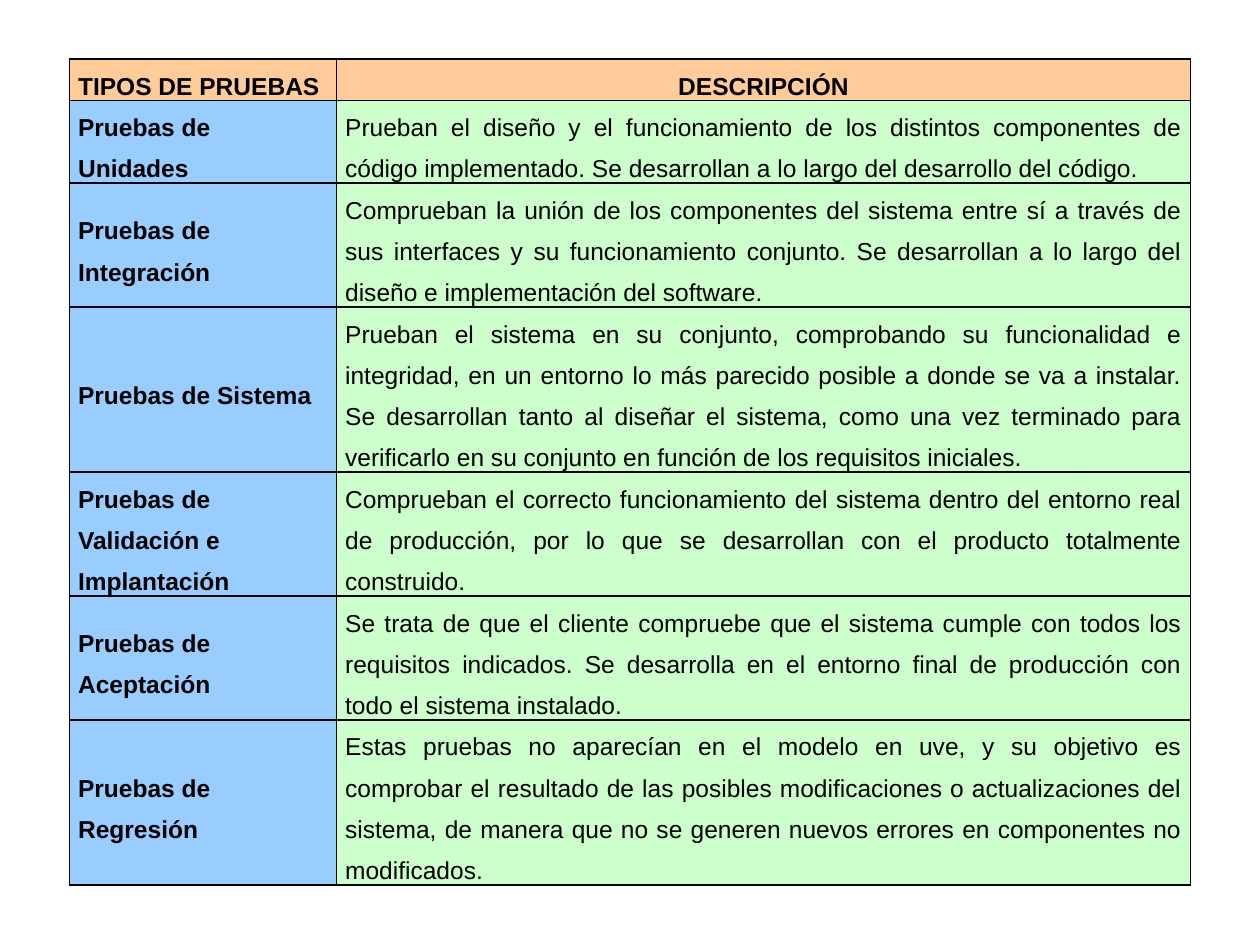
from dataclasses import dataclass

from lxml import etree
from pptx import Presentation
from pptx.dml.color import RGBColor
from pptx.enum import text as txt
from pptx.oxml import ns
from pptx.util import Inches, Pt


@dataclass(frozen=True)
class Theme:
    font: str = "Arial"
    size: int = 14
    ink: str = "000000"
    header: str = "FFCC99"
    name: str = "99CCFF"
    description: str = "CCFFCC"
    border: int = 1
    line_spacing: float = 1.5


@dataclass(frozen=True)
class TestType:
    name: str
    description: str
    lines: int


@dataclass(frozen=True)
class CellStyle:
    fill: str
    bold: bool
    align: txt.PP_ALIGN
    anchor: txt.MSO_ANCHOR = txt.MSO_ANCHOR.TOP


THEME = Theme()
ALIGN = txt.PP_ALIGN
HEADER_STYLES = (
    CellStyle(THEME.header, True, ALIGN.JUSTIFY),
    CellStyle(THEME.header, True, ALIGN.CENTER),
)
BODY_STYLES = (
    CellStyle(THEME.name, True, ALIGN.LEFT, txt.MSO_ANCHOR.MIDDLE),
    CellStyle(THEME.description, False, ALIGN.JUSTIFY),
)
COLUMN_WIDTHS = (2.12, 6.78)
LINE_HEIGHT = 0.32

HEADER = TestType("TIPOS DE PRUEBAS", "DESCRIPCIÓN", 1)
TEST_TYPES = (
    TestType(
        "Pruebas de Unidades",
        "Prueban el diseño y el funcionamiento de los distintos componentes de "
        "código implementado. Se desarrollan a lo largo del desarrollo del código.",
        2),
    TestType(
        "Pruebas de Integración",
        "Comprueban la unión de los componentes del sistema entre sí a través de "
        "sus interfaces y su funcionamiento conjunto. Se desarrollan a lo largo del "
        "diseño e implementación del software.",
        3),
    TestType(
        "Pruebas de Sistema",
        "Prueban el sistema en su conjunto, comprobando su funcionalidad e "
        "integridad, en un entorno lo más parecido posible a donde se va a instalar. "
        "Se desarrollan tanto al diseñar el sistema, como una vez terminado para "
        "verificarlo en su conjunto en función de los requisitos iniciales.",
        4),
    TestType(
        "Pruebas de Validación e Implantación",
        "Comprueban el correcto funcionamiento del sistema dentro del entorno real "
        "de producción, por lo que se desarrollan con el producto totalmente "
        "construido.",
        3),
    TestType(
        "Pruebas de Aceptación",
        "Se trata de que el cliente compruebe que el sistema cumple con todos los "
        "requisitos indicados. Se desarrolla en el entorno final de producción con "
        "todo el sistema instalado.",
        3),
    TestType(
        "Pruebas de Regresión",
        "Estas pruebas no aparecían en el modelo en uve, y su objetivo es "
        "comprobar el resultado de las posibles modificaciones o actualizaciones del "
        "sistema, de manera que no se generen nuevos errores en componentes no "
        "modificados.",
        4),
)


def add_borders(cell) -> None:
    properties = cell._tc.get_or_add_tcPr()
    for side in ("a:lnL", "a:lnR", "a:lnT", "a:lnB"):
        line = etree.SubElement(properties, ns.qn(side), w=str(Pt(THEME.border)))
        solid = etree.SubElement(line, ns.qn("a:solidFill"))
        etree.SubElement(solid, ns.qn("a:srgbClr"), val=THEME.ink)


def fill_cell(cell, content: str, style: CellStyle) -> None:
    cell_format = {
        "margin_left": Inches(0.07), "margin_right": Inches(0.07),
        "margin_top": 0, "margin_bottom": 0,
        "vertical_anchor": style.anchor,
    }
    for attribute, value in cell_format.items():
        setattr(cell, attribute, value)
    add_borders(cell)  # the schema wants borders before the fill
    cell.fill.solid()
    cell.fill.fore_color.rgb = RGBColor.from_string(style.fill)

    paragraph = cell.text_frame.paragraphs[0]
    paragraph.alignment = style.align
    paragraph.line_spacing = THEME.line_spacing
    run = paragraph.add_run()
    run.text = content
    font_format = {"name": THEME.font, "size": Pt(THEME.size), "bold": style.bold}
    for attribute, value in font_format.items():
        setattr(run.font, attribute, value)
    run.font.color.rgb = RGBColor.from_string(THEME.ink)


def add_test_table(slide) -> None:
    entries = (HEADER, *TEST_TYPES)
    height = LINE_HEIGHT * sum(entry.lines for entry in entries)
    table = slide.shapes.add_table(
        len(entries), len(COLUMN_WIDTHS), Inches(0.55), Inches(0.47),
        Inches(sum(COLUMN_WIDTHS)), Inches(height)).table
    for column, width in zip(table.columns, COLUMN_WIDTHS):
        column.width = Inches(width)
    for row, entry in zip(table.rows, entries):
        row.height = Inches(LINE_HEIGHT * entry.lines)
        styles = HEADER_STYLES if entry is HEADER else BODY_STYLES
        for cell, content, style in zip(
                row.cells, (entry.name, entry.description), styles):
            fill_cell(cell, content, style)


def main() -> None:
    presentation = Presentation()
    presentation.slide_width = Inches(10)
    presentation.slide_height = Inches(7.5)
    add_test_table(presentation.slides.add_slide(presentation.slide_layouts[6]))
    presentation.save("out.pptx")


if __name__ == "__main__":
    main()
